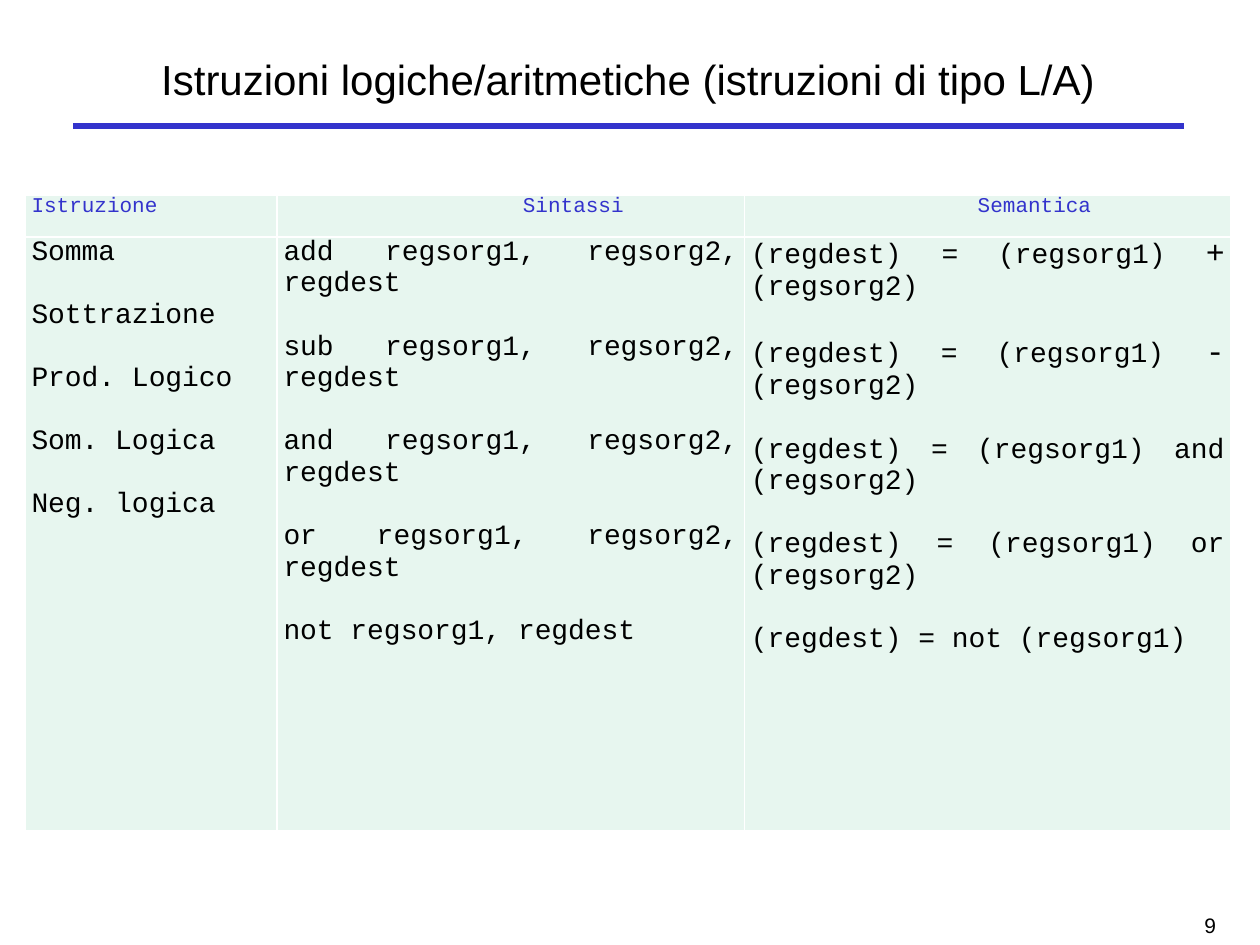
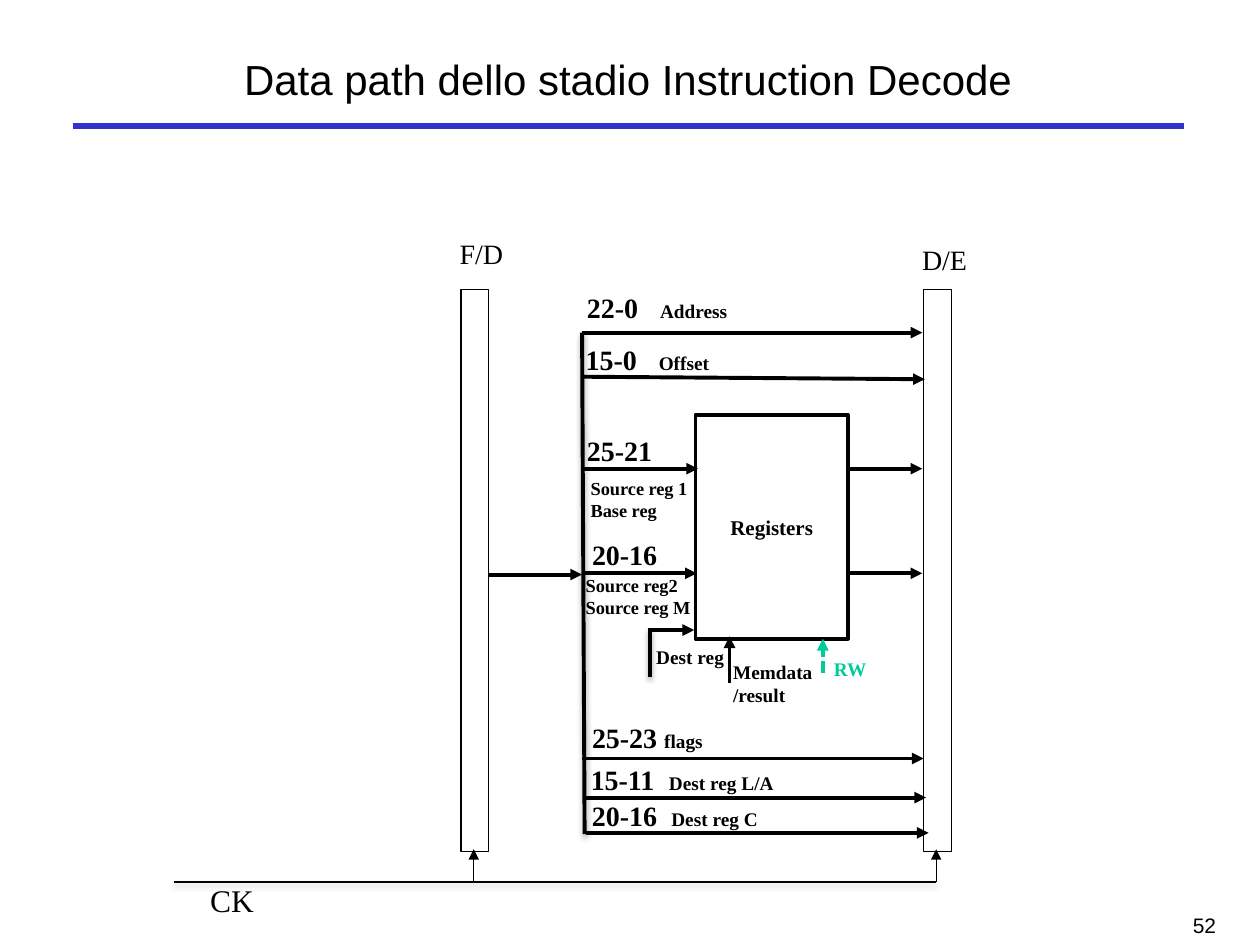
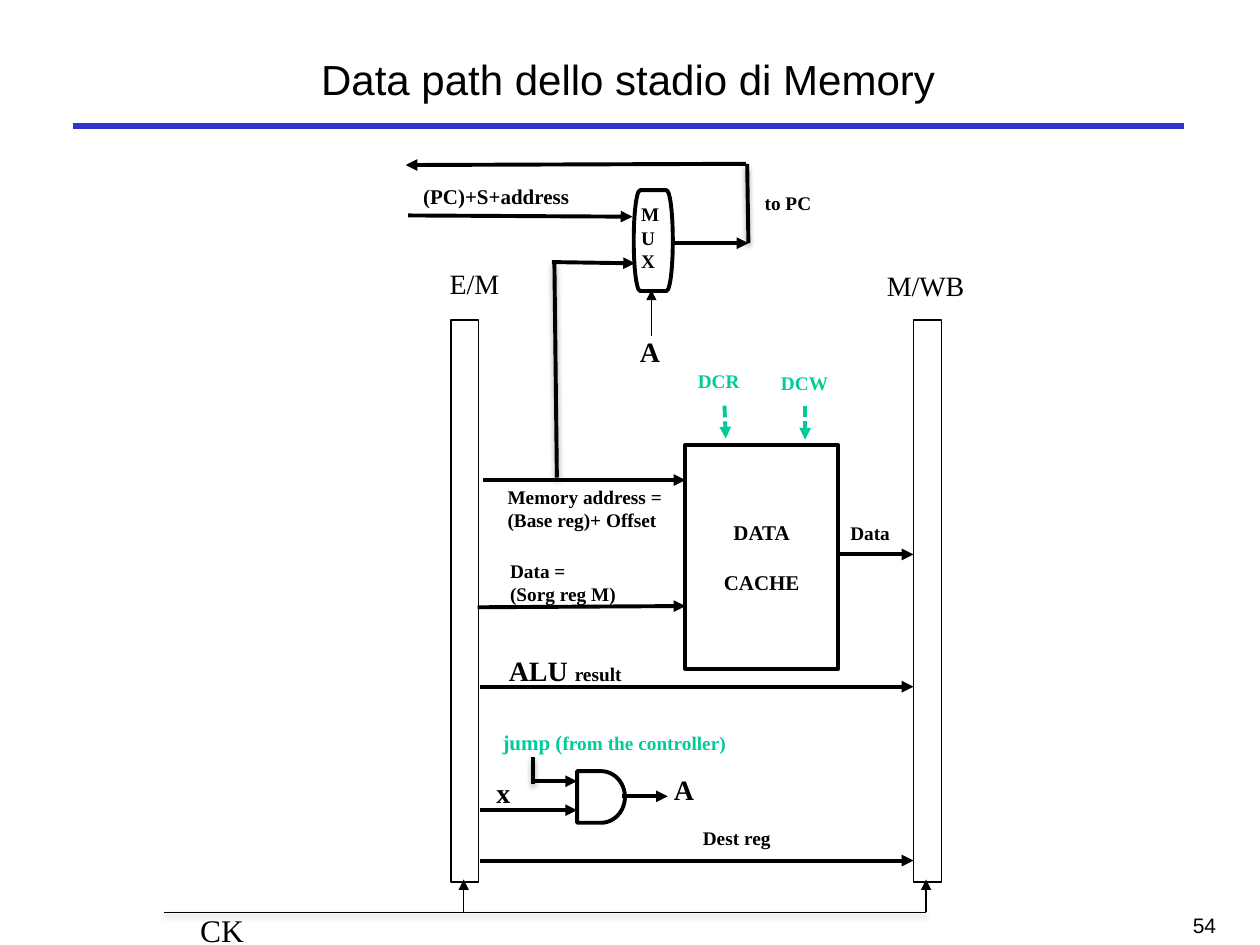
import pptx
import pptx.util
import pptx.dml.color
import pptx.enum.dml
import pptx.enum.shapes
import pptx.enum.text
import pptx.oxml
import pptx.oxml.ns
import lxml.etree

PX = 9144  # 100 px to the inch
BLACK, WHITE, BLUE, GREEN, MINT = "000000", "FFFFFF", "3333CC", "00CC99", "E7F6EF"
SANS, MONO, SERIF = "Arial", "Courier New", "Times New Roman"
colour = pptx.dml.color.RGBColor.from_string
align = pptx.enum.text.PP_ALIGN
anchor = pptx.enum.text.MSO_ANCHOR
preset = pptx.enum.shapes.MSO_SHAPE
tag = pptx.oxml.ns.qn

# Line styles
WIRE = {"width": 2.25, "arrow": True}
STUB = {"width": 2.25, "shadow": True}
CONTROL = {"width": 2.25, "arrow": True, "dash": True, "ink": GREEN}
CLOCK = {"width": 0.75, "shadow": True}
CLOCK_TICK = {"width": 0.75, "arrow": True}
RULE = {"width": 3.75, "ink": BLUE}

# Label styles
STAGE = {"size": 16}
BITS = {"size": 16, "bold": True}
NOTE = {"size": 11, "bold": True}
SMALL_NOTE = {"size": 10.5, "bold": True}
BLOCK = {"size": 12, "bold": True}
SIGNAL = {"size": 11, "bold": True, "ink": GREEN}


def write(frame, lines, size, font=SERIF, ink=BLACK, bold=False, side=align.LEFT, gap=0, tab=0):
    """Fill a text frame; a line is a string or a list of (text, size) spans."""
    look = {"name": font, "bold": bold}
    for number, line in enumerate(lines):
        para = frame.add_paragraph() if number else frame.paragraphs[0]
        if tab:
            stops = lxml.etree.SubElement(para._p.get_or_add_pPr(), tag("a:tabLst"))
            lxml.etree.SubElement(stops, tag("a:tab"), pos=str(tab * PX), algn="l")
        para.alignment = side
        if number and gap:
            para.space_before = pptx.util.Pt(gap)
        for text, points in [(line, size)] if isinstance(line, str) else line:
            span = para.add_run()
            span.text = text
            span.font.size = pptx.util.Pt(points)
            span.font.color.rgb = colour(ink)
            for name, value in look.items():
                setattr(span.font, name, value)


def draw_line(page, ends, width, ink=BLACK, arrow=False, shadow=False, dash=False):
    line = page.shapes.add_connector(
        pptx.enum.shapes.MSO_CONNECTOR.STRAIGHT, *[end * PX for end in ends])
    line.line.color.rgb = colour(ink)
    line.line.width = pptx.util.Pt(width)
    if dash:
        line.line.dash_style = pptx.enum.dml.MSO_LINE.SQUARE_DOT
    if arrow:
        lxml.etree.SubElement(line.line._get_or_add_ln(), tag("a:tailEnd"), type="triangle")
    effects = lxml.etree.SubElement(line._element.spPr, tag("a:effectLst"))
    if shadow:
        cast = lxml.etree.SubElement(effects, tag("a:outerShdw"), blurRad="40000",
                                     dist="23000", dir="5400000", rotWithShape="0")
        tint = lxml.etree.SubElement(cast, tag("a:srgbClr"), val=BLACK)
        lxml.etree.SubElement(tint, tag("a:alpha"), val="35000")


deck = pptx.Presentation()
deck.slide_width, deck.slide_height = 1000 * PX, 750 * PX

# Title, rule and page number on every slide
pages = []
for heading, number in [
    ("Istruzioni logiche/aritmetiche (istruzioni di tipo L/A)", "9"),
    ("Data path dello stadio Instruction Decode", "52"),
    ("Data path dello stadio di Memory", "54"),
]:
    page = deck.slides.add_slide(deck.slide_layouts[5])
    pages.append(page)
    draw_line(page, (58, 100, 940, 100), **RULE)
    title = page.shapes.title
    title.left, title.top, title.width, title.height = [v * PX for v in (61, 25, 875, 75)]
    title.text_frame.vertical_anchor = anchor.MIDDLE
    write(title.text_frame, [heading], 24, SANS, side=align.CENTER)
    box = page.shapes.add_textbox(767 * PX, 719 * PX, 208 * PX, 31 * PX)
    box.text_frame.word_wrap = True
    write(box.text_frame, [number], 12, SANS, side=align.RIGHT)

# Instruction table: heading, heading indent, column width, lines
columns = [
    ("Istruzione", 0, 200,
     ["Somma", "Sottrazione", "Prod. Logico", "Som. Logica", "Neg. logica"]),
    ("Sintassi", 190, 371,
     [f"{name} regsorg1, regsorg2, regdest" for name in ("add", "sub", "and", "or")]
     + ["not regsorg1, regdest"]),
    ("Semantica", 180, 386,
     [[("(regdest) = (regsorg1) ", 16), ("+", 18), (" (regsorg2)", 16)],
      [("(regdest) = (regsorg1)", 16), (" - ", 18), ("(regsorg2)", 16)],
      "(regdest) = (regsorg1) and (regsorg2)",
      "(regdest) = (regsorg1) or (regsorg2)",
      "(regdest) = not (regsorg1)"]),
]
table = pages[0].shapes.add_table(2, 3, 20 * PX, 155 * PX, 957 * PX, 504 * PX).table
table.first_row = table.horz_banding = False
table.rows[0].height, table.rows[1].height = 33 * PX, 471 * PX
for index, (heading, indent, width, lines) in enumerate(columns):
    table.columns[index].width = width * PX
    head, body = table.cell(0, index), table.cell(1, index)
    for cell in (head, body):
        cell.margin_left = cell.margin_right = 5 * PX
        cell.margin_top = cell.margin_bottom = 0
        for edge in ("lnL", "lnR", "lnT", "lnB"):
            border = lxml.etree.SubElement(cell._tc.get_or_add_tcPr(), tag("a:" + edge), w="12700")
            fill = lxml.etree.SubElement(border, tag("a:solidFill"))
            lxml.etree.SubElement(fill, tag("a:srgbClr"), val=WHITE)
        cell.fill.solid()
        cell.fill.fore_color.rgb = colour(MINT)
    head.margin_left = (5 + indent) * PX
    write(head.text_frame, [heading], 12, MONO, BLUE)
    write(body.text_frame, lines, 16, MONO, side=align.JUSTIFY, gap=18)

# Stage diagrams: the shared frame moves by "shift"
decode = {
    "page": pages[1], "shift": (0, 0), "block": ["Registers"], "gates": [],
    "lines": [
        (STUB, [(462, 264, 464, 662), (516, 499, 516, 537)]),
        (WIRE, [
            (387, 456, 462, 456),
            (462, 264, 732, 264), (461, 299, 734, 301),
            (462, 372, 554, 372), (462, 455, 553, 455),
            (672, 372, 732, 372), (672, 455, 732, 455),
            (514, 500, 551, 500), (579, 542, 579, 505),
            (462, 602, 733, 602), (465, 633, 735, 633), (465, 661, 737, 661),
        ]),
        (CONTROL, [(653, 534, 653, 507)]),
    ],
    "labels": [
        (355, 183, 64, ["F/D"], STAGE),
        (722, 188, 89, ["D/E"], STAGE),
        (456, 226, 168, [[("22-0\t", 16), ("Address", 11)]], {**BITS, "tab": 58}),
        (455, 267, 168, [[("15-0\t", 16), ("Offset", 11)]], {**BITS, "tab": 58}),
        (456, 339, 75, ["25-21"], BITS),
        (460, 422, 75, ["20-16"], BITS),
        (460, 567, 135, [[("25-23 ", 16), ("flags", 11)]], BITS),
        (459, 600, 211, [[("15-11\t", 16), ("Dest reg L/A", 11)]], {**BITS, "tab": 62}),
        (460, 629, 163, [[("20-16\t", 16), ("Dest reg C", 11)]], {**BITS, "tab": 63}),
        (459, 374, 126, ["Source reg 1", "Base reg"], SMALL_NOTE),
        (455, 451, 126, ["Source reg2", "Source reg M"], SMALL_NOTE),
        (511, 507, 75, ["Dest reg"], NOTE),
        (572, 519, 144, ["Memdata", "/result"], NOTE),
        (652, 517, 48, ["RW"], SIGNAL),
    ],
}
memory = {
    "page": pages[2], "shift": (-8, 24), "block": ["DATA", "CACHE"],
    "gates": [(preset.FLOWCHART_TERMINATOR, 503, 151, 31, 80, 2.25, []),
              (preset.FLOWCHART_DELAY, 458, 612, 38, 41, 2.25, [])],
    "lines": [
        (STUB, [(440, 209, 442, 379), (593, 130, 594, 193), (423, 601, 423, 622)]),
        (WIRE, [
            (592, 130, 322, 131), (324, 171, 502, 172),
            (438, 208, 504, 209), (534, 193, 594, 193),
            (383, 381, 544, 381), (379, 482, 544, 481),
            (665, 440, 725, 440), (381, 545, 725, 545),
            (423, 620, 458, 620), (381, 643, 458, 643),
            (494, 632, 530, 632), (381, 683, 725, 683),
        ]),
        (CLOCK_TICK, [(517, 267, 517, 230)]),
        (CONTROL, [(575, 322, 576, 348), (639, 322, 639, 349)]),
    ],
    "labels": [
        (347, 207, 62, ["E/M"], STAGE),
        (694, 208, 85, ["M/WB"], STAGE),
        (326, 141, 182, ["(PC)+S+address"], BLOCK),
        (499, 156, 35, ["M", "U", "X"], NOTE),
        (597, 147, 75, ["to PC"], NOTE),
        (498, 261, 35, ["A"], BITS),
        (544, 288, 64, ["DCR"], SIGNAL),
        (610, 290, 64, ["DCW"], SIGNAL),
        (393, 380, 143, ["Memory address =", "(Base reg)+ Offset"], NOTE),
        (395, 439, 126, ["Data =", "(Sorg reg M)"], NOTE),
        (665, 409, 100, ["Data"], NOTE),
        (394, 514, 163, [[("ALU ", 16), ("result", 11)]], BITS),
        (389, 574, 220, [[("jump (", 12), ("from the controller)", 11)]], SIGNAL),
        (384, 611, 35, ["x"], BITS),
        (525, 608, 35, ["A"], BITS),
        (548, 651, 140, ["Dest reg"], NOTE),
    ],
}

for stage in (decode, memory):
    page, (dx, dy) = stage["page"], stage["shift"]

    # Pipeline registers, main block and gates
    shapes = [(preset.RECTANGLE, x + dx, 230 + dy, 22, 446, 0.75, []) for x in (366, 733)]
    shapes.append((preset.RECTANGLE, 552 + dx, 329 + dy, 121, 178, 2.25, stage["block"]))
    for kind, x, y, width, height, weight, lines in shapes + stage["gates"]:
        shape = page.shapes.add_shape(kind, x * PX, y * PX, width * PX, height * PX)
        shape.shadow.inherit = False
        shape.fill.solid()
        shape.fill.fore_color.rgb = colour(WHITE)
        shape.line.color.rgb = colour(BLACK)
        shape.line.width = pptx.util.Pt(weight)
        shape.text_frame.vertical_anchor = anchor.MIDDLE
        write(shape.text_frame, lines, **BLOCK, side=align.CENTER, gap=14)

    # Clock line with a tick to each pipeline register
    draw_line(page, (138 + dx, 700 + dy, 743 + dx, 700 + dy), **CLOCK)
    for x in (376, 743):
        draw_line(page, (x + dx, 700 + dy, x + dx, 674 + dy), **CLOCK_TICK)

    # Wires
    for style, wires in stage["lines"]:
        for ends in wires:
            draw_line(page, ends, **style)

    # Labels
    clock_label = (157 + dx, 694 + dy, 59, ["CK"], {"size": 18})
    for x, y, width, lines, style in stage["labels"] + [clock_label]:
        box = page.shapes.add_textbox(x * PX, y * PX, width * PX, 10 * PX + 20 * PX * len(lines))
        box.text_frame.word_wrap = True
        write(box.text_frame, lines, **style)

deck.save("out.pptx")
